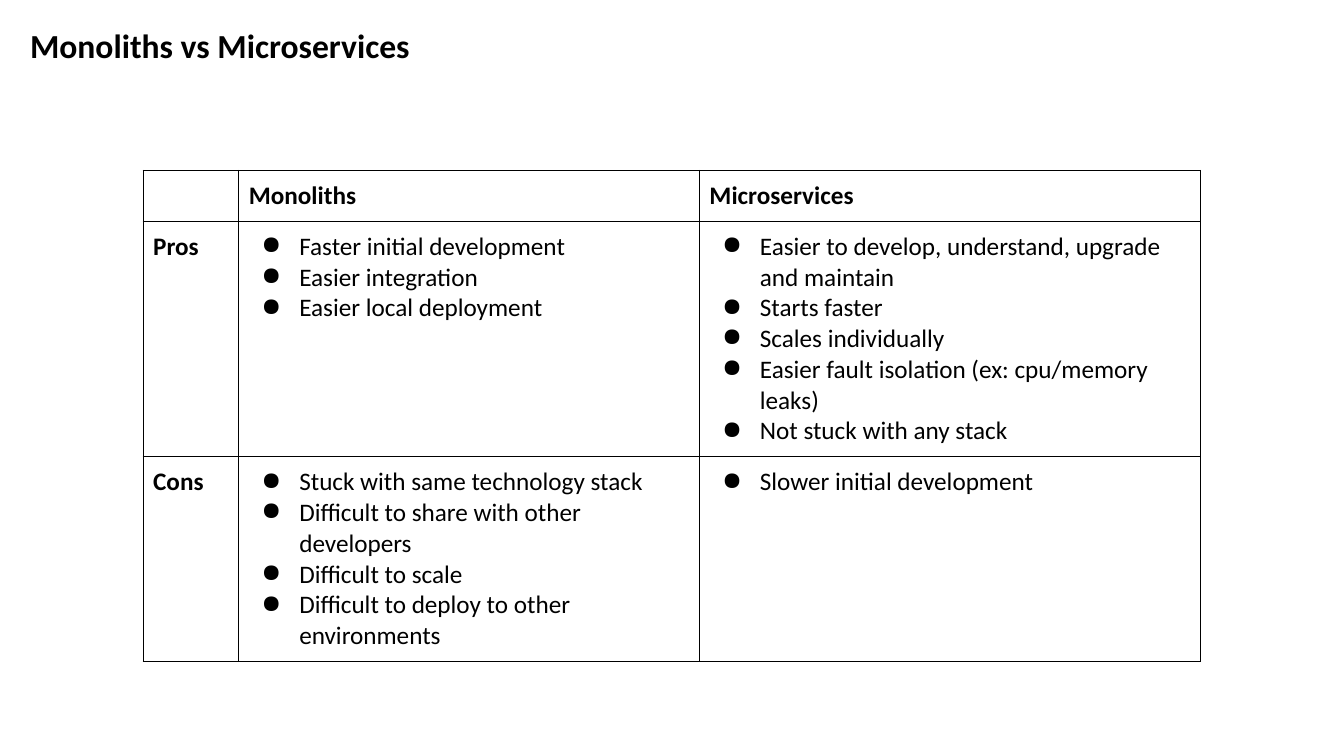
from dataclasses import dataclass

from lxml.etree import SubElement
from pptx import Presentation
from pptx.dml.color import RGBColor
from pptx.enum.text import MSO_ANCHOR
from pptx.oxml.ns import qn
from pptx.util import Pt


@dataclass(frozen=True)
class Theme:
    font: str = "Calibri"
    ink: str = "000000"
    title_size: float = 24
    body_size: float = 18
    border_width: float = 0.75
    cell_margin: float = 7.2
    bullet_indent: float = 36
    bullet_hanging: float = -27


THEME = Theme()
COLUMN_WIDTHS = (68.4, 329, 357.8)
ROW_HEIGHTS = (36.4, 168.2, 146.2)
HEADINGS = ("Monoliths", "Microservices")
COMPARISON = {
    "Pros": (
        ("Faster initial development",
         "Easier integration",
         "Easier local deployment"),
        ("Easier to develop, understand, upgrade and maintain",
         "Starts faster",
         "Scales individually",
         "Easier fault isolation (ex: cpu/memory leaks)",
         "Not stuck with any stack"),
    ),
    "Cons": (
        ("Stuck with same technology stack",
         "Difficult to share with other developers",
         "Difficult to scale",
         "Difficult to deploy to other environments"),
        ("Slower initial development",),
    ),
}


def add_bullet(paragraph):
    properties = paragraph._p.get_or_add_pPr()
    properties.set("marL", str(Pt(THEME.bullet_indent)))
    properties.set("indent", str(Pt(THEME.bullet_hanging)))
    SubElement(properties, qn("a:buChar"), char="●")


def write_text(frame, *lines, size=THEME.body_size, bold=False, bullet=False):
    """Write each line as one paragraph of the text frame."""
    for index, line in enumerate(lines):
        paragraph = frame.add_paragraph() if index else frame.paragraphs[0]
        run = paragraph.add_run()
        run.text = line
        run.font.name = THEME.font
        run.font.size = Pt(size)
        run.font.bold = bold
        run.font.color.rgb = RGBColor.from_string(THEME.ink)
        if bullet:
            add_bullet(paragraph)


def add_title(slide, text):
    box = slide.shapes.add_textbox(Pt(14.4), Pt(14.4), Pt(928.8), Pt(473.8))
    box.text_frame.word_wrap = True
    write_text(box.text_frame, text, size=THEME.title_size, bold=True)


def style_cell(cell):
    """Give the cell even margins, thin borders and no fill."""
    cell.margin_left = cell.margin_right = Pt(THEME.cell_margin)
    cell.margin_top = cell.margin_bottom = Pt(THEME.cell_margin)
    cell.vertical_anchor = MSO_ANCHOR.TOP
    properties = cell._tc.get_or_add_tcPr()
    for side in ("L", "R", "T", "B"):
        border = SubElement(properties, qn(f"a:ln{side}"),
                            w=str(Pt(THEME.border_width)))
        fill = SubElement(border, qn("a:solidFill"))
        SubElement(fill, qn("a:srgbClr"), val=THEME.ink)
    cell.fill.background()


def add_comparison_table(slide):
    frame = slide.shapes.add_table(
        len(ROW_HEIGHTS), len(COLUMN_WIDTHS), Pt(102.2), Pt(121.7),
        Pt(sum(COLUMN_WIDTHS)), Pt(sum(ROW_HEIGHTS)))
    table = frame.table
    table.first_row = table.horz_banding = False
    for column, width in zip(table.columns, COLUMN_WIDTHS):
        column.width = Pt(width)
    for row, height in zip(table.rows, ROW_HEIGHTS):
        row.height = Pt(height)
    for cell in table.iter_cells():
        style_cell(cell)

    for column, heading in enumerate(HEADINGS, start=1):
        write_text(table.cell(0, column).text_frame, heading, bold=True)
    for row, (label, lists) in enumerate(COMPARISON.items(), start=1):
        write_text(table.cell(row, 0).text_frame, label, bold=True)
        for column, points in enumerate(lists, start=1):
            write_text(table.cell(row, column).text_frame, *points, bullet=True)


def main():
    presentation = Presentation()
    presentation.slide_width = Pt(960)
    presentation.slide_height = Pt(540)
    slide = presentation.slides.add_slide(presentation.slide_layouts[6])
    add_title(slide, "Monoliths vs Microservices")
    add_comparison_table(slide)
    presentation.save("out.pptx")


if __name__ == "__main__":
    main()
